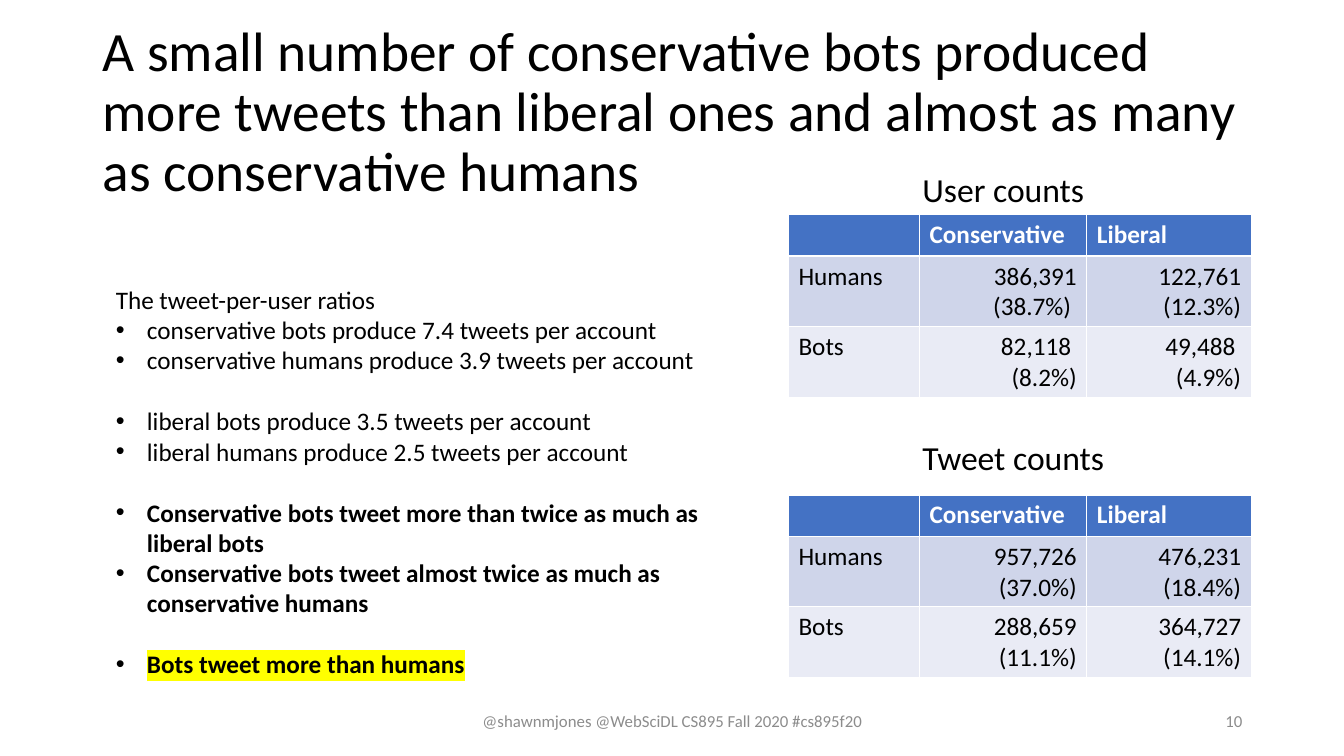
from lxml import etree
from pptx import Presentation
from pptx import util as u
from pptx.dml.color import RGBColor
from pptx.enum import text
from pptx.oxml import ns

FONT = "Calibri"
BLACK, WHITE, GREY = "000000", "FFFFFF", "8C8C8C"
HEADER, BAND_DARK, BAND_LIGHT = "4472C4", "CFD5EA", "E9EBF5"
HIGHLIGHT = "FFFF00"
LEFT, CENTER, RIGHT = text.PP_ALIGN.LEFT, text.PP_ALIGN.CENTER, text.PP_ALIGN.RIGHT

TITLE = ("A small number of conservative bots produced more tweets than "
         "liberal ones and almost as many as conservative humans")
USER_COUNTS = [["", "Conservative", "Liberal"],
               ["Humans", "386,391 (38.7%) ", "122,761 (12.3%)"],
               ["Bots", "82,118 \n(8.2%)", "49,488 \n(4.9%)"]]
TWEET_COUNTS = [["", "Conservative", "Liberal"],
                ["Humans", "957,726 (37.0%)", "476,231 (18.4%)"],
                ["Bots", "288,659 (11.1%)", "364,727 (14.1%)"]]
RATIO_GROUPS = [
    (False, None, ["conservative bots produce 7.4 tweets per account",
                   "conservative humans produce 3.9 tweets per account"]),
    (False, None, ["liberal bots produce 3.5 tweets per account",
                   "liberal humans produce 2.5 tweets per account"]),
    (True, None, ["Conservative bots tweet more than twice as much as liberal bots",
                  "Conservative bots tweet almost twice as much as conservative humans"]),
    (True, HIGHLIGHT, ["Bots tweet more than humans"]),
]


def color(value):
    """Turn a hex string into a colour."""
    return RGBColor.from_string(value)


def add_span(para, words, size, shade=BLACK, bold=False, highlight=None):
    """Add one formatted run to a paragraph."""
    span = para.add_run()
    span.text = words
    span.font.name = FONT
    span.font.size = u.Pt(size)
    span.font.bold = bold
    span.font.color.rgb = color(shade)
    if highlight:
        mark = etree.Element(ns.qn("a:highlight"))
        etree.SubElement(mark, ns.qn("a:srgbClr"), val=highlight)
        span.font._element.find(ns.qn("a:solidFill")).addnext(mark)


def add_box(page, left, top, width, height, anchor=text.MSO_ANCHOR.TOP):
    """Add a wrapping text box and return its text frame."""
    box = page.shapes.add_textbox(*map(u.Inches, (left, top, width, height)))
    frame = box.text_frame
    frame.word_wrap = True
    frame.vertical_anchor = anchor
    return frame


def add_line(page, words, left, top, width, height, size, shade=BLACK,
             align=LEFT, anchor=text.MSO_ANCHOR.MIDDLE):
    """Add a box with one paragraph and return the paragraph."""
    para = add_box(page, left, top, width, height, anchor).paragraphs[0]
    para.alignment = align
    add_span(para, words, size, shade)
    return para


def add_bullet(para):
    """Give a paragraph a hanging round bullet."""
    props = para._p.get_or_add_pPr()
    props.set("marL", str(u.Inches(0.31)))
    props.set("indent", str(u.Inches(-0.31)))
    etree.SubElement(props, ns.qn("a:buFont"), typeface="Arial")
    etree.SubElement(props, ns.qn("a:buChar"), char="•")


def add_ratios(page, left, top, width, height):
    """Place the heading and the spaced groups of bullets."""
    frame = add_box(page, left, top, width, height)
    add_span(frame.paragraphs[0], "The tweet-per-user ratios", 18)
    for group, (bold, highlight, lines) in enumerate(RATIO_GROUPS):
        for number, line in enumerate(lines):
            para = frame.add_paragraph()
            add_bullet(para)
            if group and number == 0:
                para.space_before = u.Pt(22)
            add_span(para, line, 18, bold=bold, highlight=highlight)


def fill_cell(cell, words, fill, shade, bold, align):
    """Fill a table cell and write its lines."""
    cell.fill.solid()
    cell.fill.fore_color.rgb = color(fill)
    para = cell.text_frame.paragraphs[0]
    para.alignment = align
    para.font.size = u.Pt(18)
    for number, line in enumerate(words.split("\n")):
        if number:
            para.add_line_break()
        if line:
            add_span(para, line, 18, shade, bold)


def add_counts(page, caption, rows, left, top, width, height, caption_gap):
    """Place a captioned table of counts."""
    add_line(page, caption, left + 1.23, top - caption_gap, 2.14, 0.5, 24,
             anchor=text.MSO_ANCHOR.TOP)
    table = page.shapes.add_table(
        len(rows), len(rows[0]), *map(u.Inches, (left, top, width, height))).table
    for column, size in zip(table.columns, (1.3, 1.66, 1.63)):
        column.width = u.Inches(size)
    for row, size in zip(table.rows, (0.41, 0.7, 0.7)):
        row.height = u.Inches(size)
    for r, (row, fill) in enumerate(zip(rows, (HEADER, BAND_DARK, BAND_LIGHT))):
        for c, words in enumerate(row):
            fill_cell(table.cell(r, c), words, fill, BLACK if r else WHITE,
                      r == 0, RIGHT if r and c else LEFT)


def add_footer(page, left, top, width, height):
    """Place the centred footer and the page number at the right."""
    add_line(page, "@shawnmjones @WebSciDL CS895 Fall 2020 #cs895f20",
             left, top, 4.5, height, 12, GREY, CENTER)
    add_line(page, "10", left + width - 3, top, 3, height, 12, GREY, RIGHT)


def main():
    """Build the slide and save it."""
    deck = Presentation()
    deck.slide_width, deck.slide_height = u.Inches(13.33), u.Inches(7.5)
    page = deck.slides.add_slide(deck.slide_layouts[6])
    title = add_line(page, TITLE, 0.92, 0.4, 11.5, 1.45, 39.6)
    title.line_spacing = 0.9
    add_footer(page, 4.42, 6.95, 8, 0.4)
    add_counts(page, "User counts", USER_COUNTS, 7.82, 2.13, 4.59, 1.81, 0.5)
    add_counts(page, "Tweet counts", TWEET_COUNTS, 7.82, 4.91, 4.59, 1.81, 0.62)
    add_ratios(page, 1.05, 2.77, 6.53, 4.04)
    deck.save("out.pptx")


if __name__ == "__main__":
    main()
